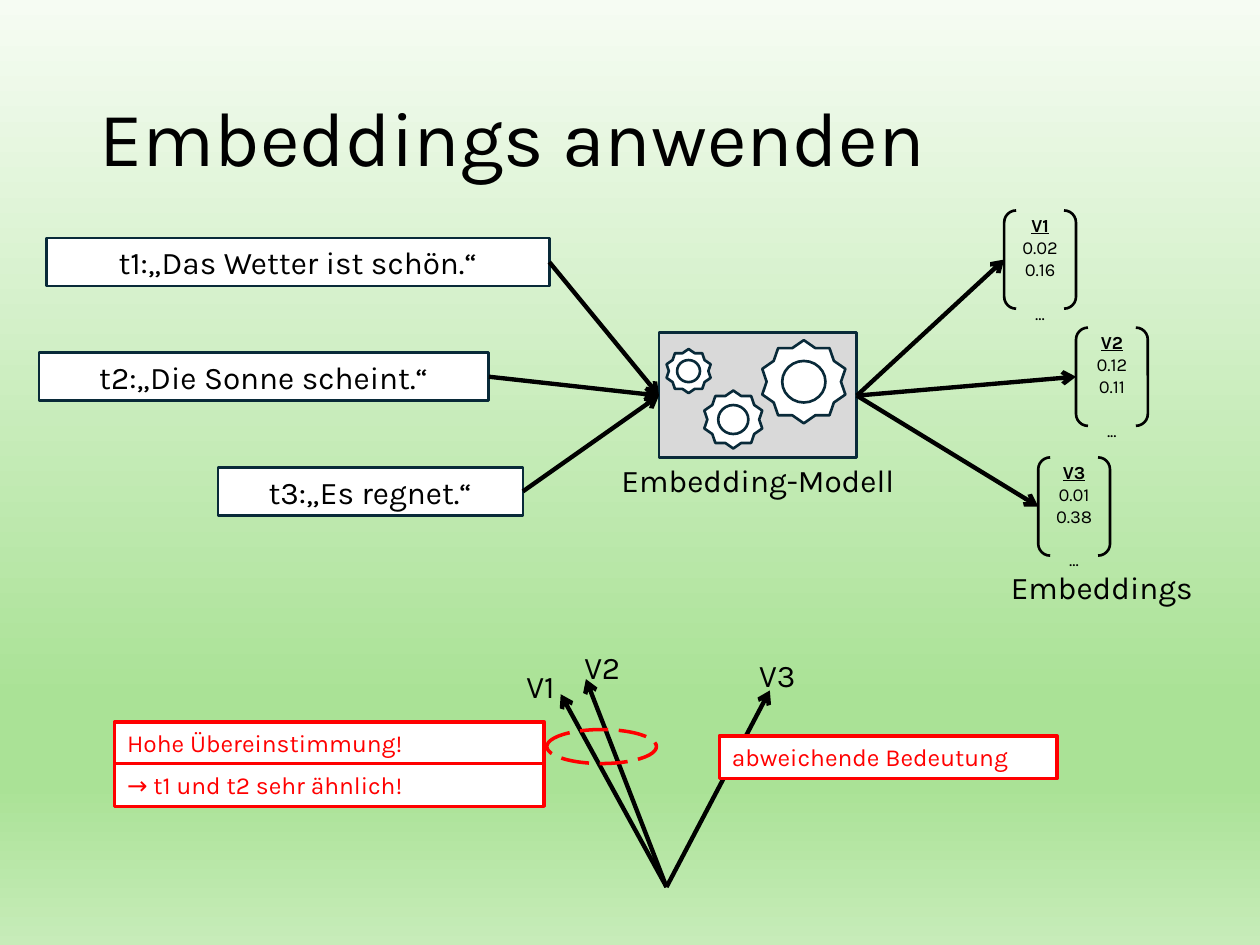
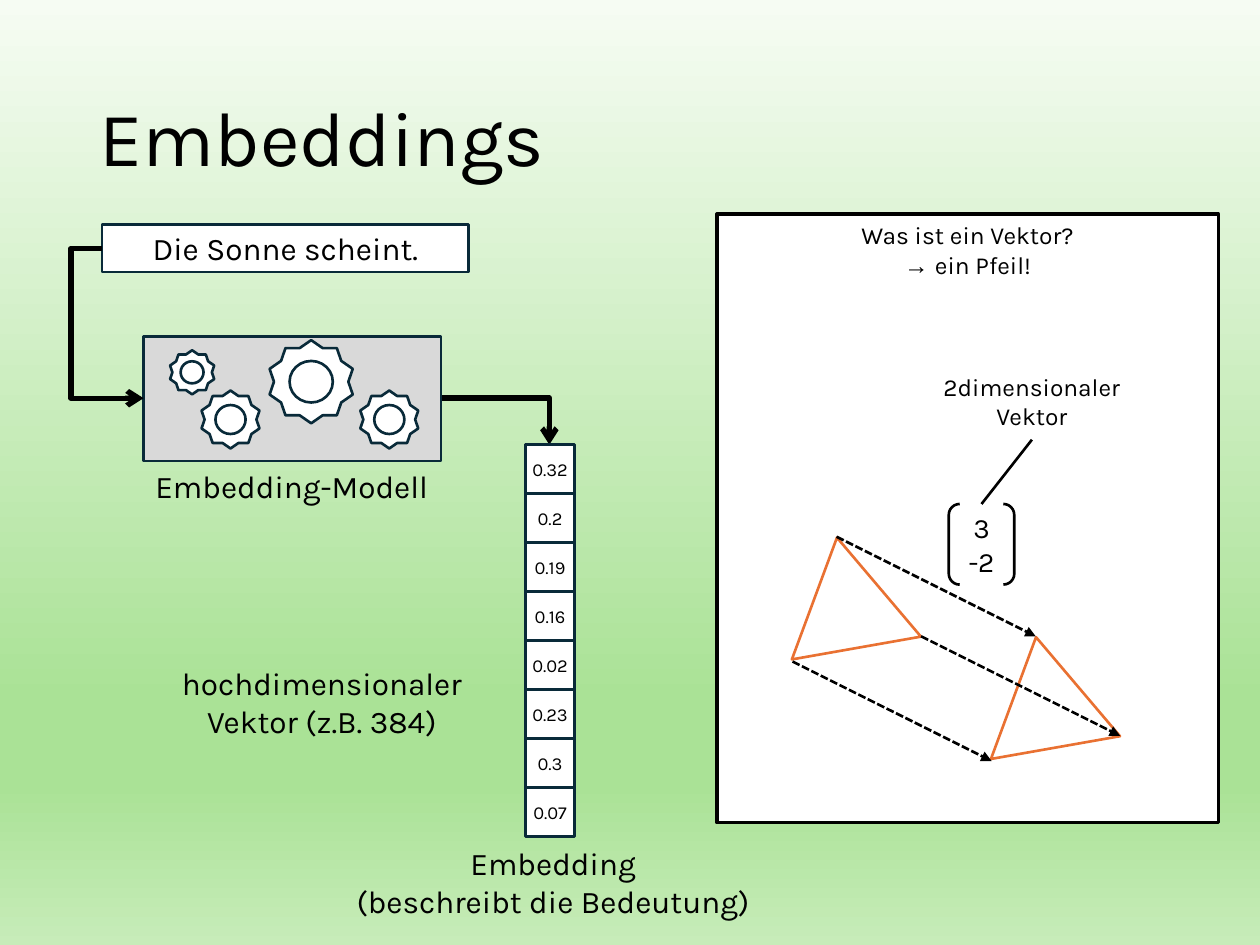
from lxml import etree
from pptx import Presentation
from pptx.dml.color import RGBColor
from pptx.enum.dml import MSO_LINE
from pptx.enum.shapes import MSO_CONNECTOR as CONNECTOR, MSO_SHAPE as SHAPE
from pptx.enum.text import MSO_ANCHOR as ANCHOR, MSO_AUTO_SIZE, PP_ALIGN as ALIGN
from pptx.oxml.ns import qn
from pptx.util import Inches, Pt

FONT = "Karla"
BLACK, WHITE, GREY = "000000", "FFFFFF", "D9D9D9"
NAVY, RED, ORANGE = "092A39", "FF0000", "E97132"
BACKGROUND = [(0, "F6FCF3"), (74, "AAE296"), (83, "AAE296"), (100, "C7ECB9")]


def color(value):
    return RGBColor.from_string(value)


def set_background(master):
    """Give every slide the vertical green gradient."""
    fill = master.background.fill
    fill.gradient()
    fill.gradient_angle = 270
    stops = master.element.find(".//" + qn("a:gsLst"))
    for stop in list(stops):
        stops.remove(stop)
    for percent, value in BACKGROUND:
        stop = etree.SubElement(stops, qn("a:gs"), pos=str(percent * 1000))
        etree.SubElement(stop, qn("a:srgbClr"), val=value)


def format_runs(para, size, ink=BLACK):
    for span in para.runs:
        span.font.name = FONT
        span.font.size = Pt(size)
        span.font.color.rgb = color(ink)


def write(box, text, size, ink=BLACK, align=ALIGN.CENTER, anchor=ANCHOR.TOP,
          wrap=True, inset=True):
    frame = box.text_frame
    frame.text = text
    frame.word_wrap = wrap
    frame.vertical_anchor = anchor
    if not inset:
        frame.margin_left = frame.margin_right = 0
        frame.margin_top = frame.margin_bottom = 0
    for para in frame.paragraphs:
        para.alignment = align
        format_runs(para, size, ink)


def add_page(deck, title):
    page = deck.slides.add_slide(deck.slide_layouts[5])
    box = page.shapes.title
    box.left, box.top = Inches(0.69), Inches(0.4)
    box.width, box.height = Inches(8.62), Inches(1.45)
    write(box, title, 44, align=ALIGN.LEFT, anchor=ANCHOR.MIDDLE)
    box.text_frame.auto_size = MSO_AUTO_SIZE.NONE
    box.text_frame.paragraphs[0].line_spacing = 0.9
    return page


def add_figure(page, kind, left, top, width, height, fill=WHITE, line=NAVY, weight=1.5):
    figure = page.shapes.add_shape(kind, Inches(left), Inches(top),
                                   Inches(width), Inches(height))
    figure.shadow.inherit = False
    if fill:
        figure.fill.solid()
        figure.fill.fore_color.rgb = color(fill)
    else:
        figure.fill.background()
    figure.line.color.rgb = color(line)
    figure.line.width = Pt(weight)
    return figure


def add_label(page, text, left, top, width, height, size=18, **options):
    box = page.shapes.add_textbox(Inches(left), Inches(top), Inches(width), Inches(height))
    write(box, text, size, **options)


def add_sentence(page, text, left, top, width):
    box = add_figure(page, SHAPE.RECTANGLE, left, top, width, 0.38)
    write(box, text, 18, anchor=ANCHOR.MIDDLE, wrap=False)


def add_finding(page, text, left, top, width):
    box = add_figure(page, SHAPE.RECTANGLE, left, top, width, 0.34, line=RED, weight=2)
    write(box, text, 14, RED, ALIGN.LEFT)


def add_model(page, left, top, width, gears):
    """Draw the embedding model: a grey case with gears (left, top, size)."""
    add_figure(page, SHAPE.RECTANGLE, left, top, width, 0.99, GREY)
    for x, y, size in gears:
        add_figure(page, SHAPE.STAR_10_POINT, x, y, size, size)
        add_figure(page, SHAPE.OVAL, x + 0.24 * size, y + 0.25 * size,
                   0.52 * size, 0.5 * size, WHITE)


def add_brackets(page, text, left, top, width, height, size, anchor=ANCHOR.TOP):
    box = add_figure(page, SHAPE.DOUBLE_BRACKET, left, top, width, height, None, BLACK)
    write(box, text, size, anchor=anchor, wrap=False, inset=False)
    return box


def add_embedding(page, name, values, left, top):
    box = add_brackets(page, "\n".join([name, *values, "..."]), left, top, 0.57, 0.78, 10.5)
    paras = box.text_frame.paragraphs
    paras[0].runs[0].font.bold = True
    paras[0].runs[0].font.underline = True
    paras[-1].space_before = Pt(12.4)


def add_line(page, start, end, weight=2.5, head="arrow", dash=None, kind=CONNECTOR.STRAIGHT):
    line = page.shapes.add_connector(kind, *(Inches(n) for n in (*start, *end)))
    line.line.color.rgb = color(BLACK)
    line.line.width = Pt(weight)
    if dash:
        line.line.dash_style = dash
    if head:
        etree.SubElement(line.line._get_or_add_ln(), qn("a:tailEnd"), type=head)
    etree.SubElement(line.element.spPr, qn("a:effectLst"))
    return line


def add_elbow(page, start, end, preset, bend=None):
    line = add_line(page, start, end, 3, kind=CONNECTOR.ELBOW)
    geometry = line.element.spPr.find(qn("a:prstGeom"))
    geometry.set("prst", preset)
    if bend is not None:
        guides = geometry.find(qn("a:avLst"))
        etree.SubElement(guides, qn("a:gd"), name="adj1", fmla=f"val {bend}")


def build_usage(deck):
    page = add_page(deck, "Embeddings anwenden")
    model_in, model_out = (5.23, 3.14), (6.8, 3.14)
    add_model(page, 5.23, 2.64, 1.57, [(5.59, 3.1, 0.46), (6.05, 2.7, 0.66), (5.29, 2.77, 0.35)])
    for text, left, top, width in [("t1:„Das Wetter ist schön.“", 0.37, 1.89, 3.99),
                                   ("t2:„Die Sonne scheint.“", 0.31, 2.8, 3.57),
                                   ("t3:„Es regnet.“", 1.73, 3.71, 2.42)]:
        add_sentence(page, text, left, top, width)
        add_line(page, (left + width, top + 0.19), model_in)
    for name, values, left, top in [("V1", ("0.02", "0.16"), 7.97, 1.67),
                                    ("V2", ("0.12", "0.11"), 8.54, 2.6),
                                    ("V3", ("0.01", "0.38"), 8.24, 3.63)]:
        add_embedding(page, name, values, left, top)
        add_line(page, model_out, (left, top + 0.39))
    add_label(page, "Embedding-Modell", 4.51, 3.61, 3.01, 0.4)
    add_label(page, "Embeddings", 7.66, 4.46, 2.17, 0.4)

    for tip in [(4.45, 5.51), (4.65, 5.39), (6.11, 5.48)]:
        add_line(page, (5.29, 7.04), tip)
    for name, left, top in [("V1", 4.07, 5.29), ("V2", 4.56, 5.14), ("V3", 5.95, 5.21)]:
        add_label(page, name, left, top, 0.44, 0.3, wrap=False, inset=False)
    overlap = add_figure(page, SHAPE.OVAL, 4.34, 5.79, 0.87, 0.27, None, RED, 2)
    overlap.line.dash_style = MSO_LINE.LONG_DASH
    add_finding(page, "Hohe Übereinstimmung!", 0.91, 5.73, 3.41)
    add_finding(page, "→ t1 und t2 sehr ähnlich!", 0.91, 6.06, 3.41)
    add_finding(page, "abweichende Bedeutung", 5.71, 5.84, 2.68)


def add_vector_panel(page):
    panel = add_figure(page, SHAPE.RECTANGLE, 5.69, 1.7, 3.98, 4.83, line=BLACK, weight=2)
    write(panel, "Was ist ein Vektor?\n→ ", 14)
    answer = panel.text_frame.paragraphs[1]
    answer.add_run().text = "ein Pfeil!"
    format_runs(answer, 14)
    answer.runs[0].font.name = "Times New Roman"

    shift_x, shift_y = 1.58, 0.79
    for step in (1, 0):
        triangle = add_figure(page, SHAPE.ISOSCELES_TRIANGLE, 6.2 + step * shift_x,
                              4.26 + step * shift_y, 1.04, 0.89, line=ORANGE)
        triangle.rotation = 350
    for x, y in [(7.31, 5.05), (6.29, 5.25), (6.64, 4.26)]:
        add_line(page, (x, y), (x + shift_x, y + shift_y), 1.5, "triangle", MSO_LINE.SQUARE_DOT)
    add_brackets(page, "3\n-2", 7.53, 4, 0.52, 0.64, 16, ANCHOR.MIDDLE)
    add_label(page, "2dimensionaler\nVektor", 6.94, 2.9, 2.5, 0.59, 14, wrap=False)
    add_line(page, (8.19, 3.49), (7.79, 4), 1.5, None)


def build_explanation(deck):
    page = add_page(deck, "Embeddings")
    add_vector_panel(page)
    add_model(page, 1.14, 2.67, 2.36, [(1.6, 3.1, 0.46), (2.14, 2.7, 0.66),
                                       (2.86, 3.1, 0.46), (1.35, 2.78, 0.35)])
    add_sentence(page, "Die Sonne scheint.", 0.81, 1.78, 2.91)
    add_elbow(page, (0.81, 1.97), (1.14, 3.16), "bentConnector3", -74700)
    add_elbow(page, (3.51, 3.16), (4.36, 3.53), "bentConnector2")
    add_label(page, "hochdimensionaler Vektor (z.B. 384)", 0.99, 5.22, 3.13, 0.71)
    add_label(page, "Embedding\n(beschreibt die Bedeutung)", 1.7, 6.65, 5.38, 0.71)
    add_label(page, "Embedding-Modell", 0.81, 3.66, 3.01, 0.4)

    values = ["0.32", "0.2", "0.19", "0.16", "0.02", "0.23", "0.3", "0.07"]
    pitch = (6.25 - 3.53) / (len(values) - 1)
    for row, value in enumerate(values):
        cell = add_figure(page, SHAPE.RECTANGLE, 4.17, 3.53 + row * pitch, 0.39, 0.39)
        write(cell, value, 10.5, anchor=ANCHOR.MIDDLE, wrap=False, inset=False)


def main():
    deck = Presentation()
    deck.slide_width, deck.slide_height = Inches(10), Inches(7.5)
    set_background(deck.slide_master)
    build_usage(deck)
    build_explanation(deck)
    deck.save("out.pptx")


if __name__ == "__main__":
    main()
